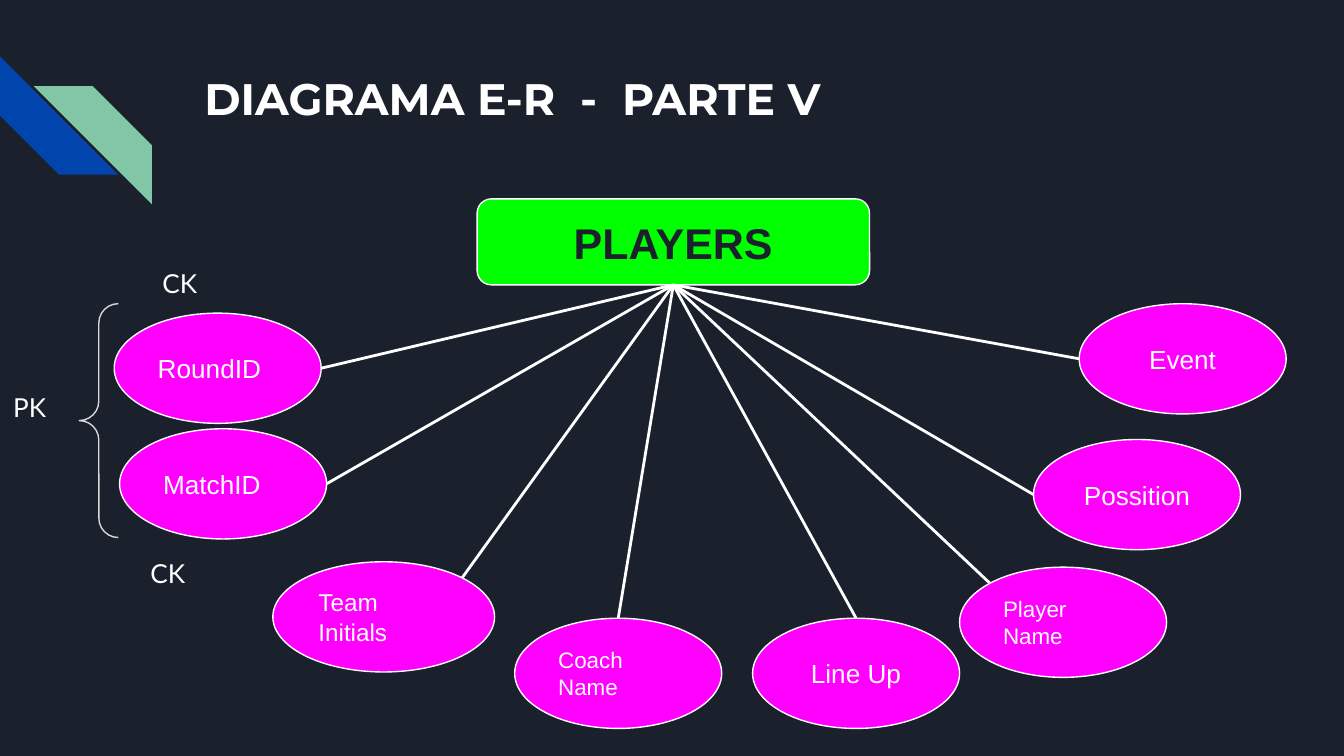
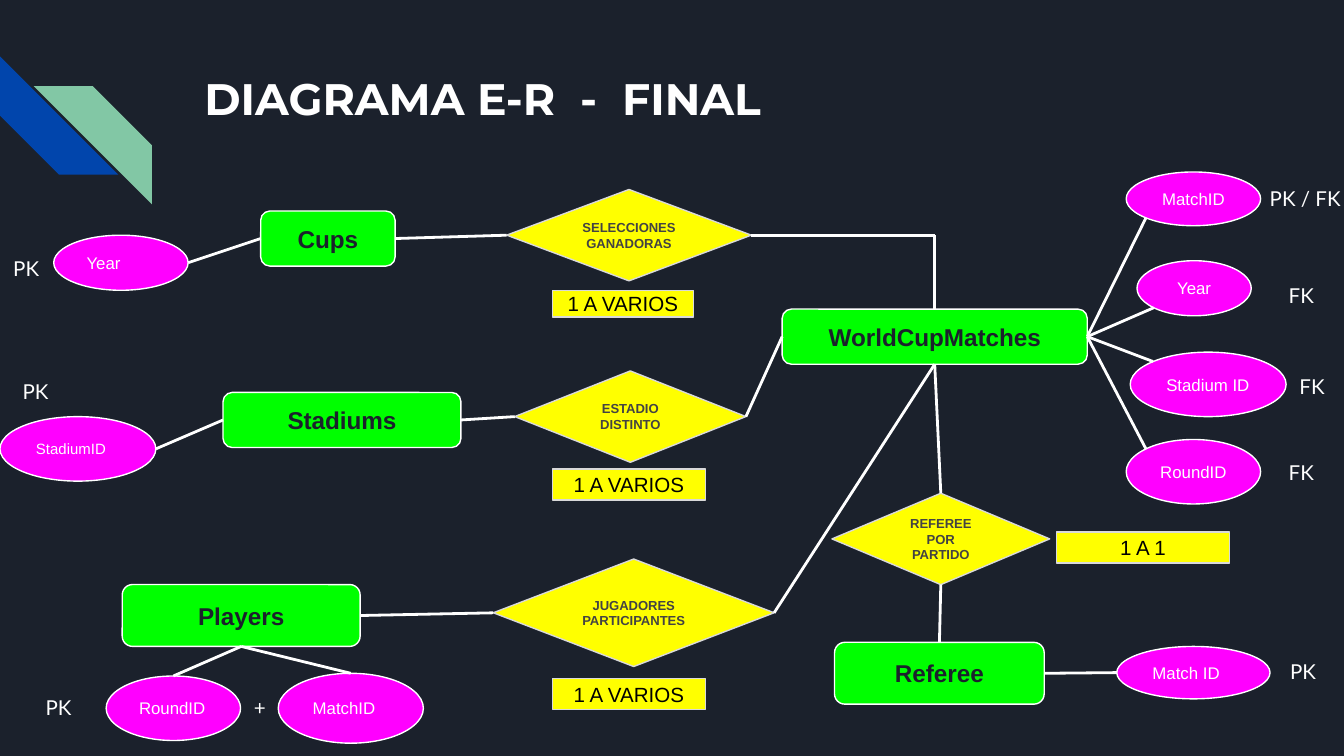
from dataclasses import dataclass

from lxml import etree
from pptx import Presentation
from pptx import util as u
from pptx.dml.color import RGBColor
from pptx.enum import shapes, text
from pptx.oxml import ns

KIND = shapes.MSO_SHAPE


@dataclass(frozen=True)
class Theme:
    night: str = "1B212C"
    blue: str = "0145AC"
    mint: str = "82C7A5"
    green: str = "00FF00"
    pink: str = "FF00FF"
    yellow: str = "FFFF00"
    white: str = "FFFFFF"
    pale: str = "D9D9D9"
    gray: str = "434343"
    black: str = "000000"
    body: str = "Arial"
    note: str = "Lato"
    head: str = "Montserrat"
    title: float = 23.6
    hero: float = 23
    name: float = 13
    big: float = 14
    mid: float = 11
    small: float = 9
    tiny: float = 7


T = Theme()

# Directions from the centre of a shape to its connection sites
DIAG = 0.5 ** 0.5
SITES = {"t": (0, -1), "l": (-1, 0), "b": (0, 1), "r": (1, 0),
         "tl": (-DIAG, -DIAG), "tr": (DIAG, -DIAG), "bl": (-DIAG, DIAG)}


def color(code):
    return RGBColor.from_string(code)


def place(box, x, y, w, h):
    """Shift a part by the origin of its region."""
    return box[0] + x, box[1] + y, w, h


def inch(box):
    return [u.Inches(v) for v in box]


def write(shape, words, size=T.big, font=T.body, ink=T.white, bold=False,
          center=True, middle=True):
    frame = shape.text_frame
    frame.word_wrap = True
    frame.margin_left = frame.margin_right = u.Inches(0.1)
    frame.margin_top = frame.margin_bottom = u.Inches(0.1)
    anchor = text.MSO_ANCHOR
    frame.vertical_anchor = anchor.MIDDLE if middle else anchor.TOP
    par = frame.paragraphs[0]
    par.alignment = text.PP_ALIGN.CENTER if center else text.PP_ALIGN.LEFT
    run = par.add_run()
    run.text = words
    run.font.size, run.font.name, run.font.bold = u.Pt(size), font, bold
    run.font.color.rgb = color(ink)


def draw(slide, kind, box, fill=None, line=None):
    shape = slide.shapes.add_shape(kind, *inch(box))
    shape.shadow.inherit = False
    if fill:
        shape.fill.solid()
        shape.fill.fore_color.rgb = color(fill)
    else:
        shape.fill.background()
    if line:
        shape.line.color.rgb = color(line)
        shape.line.width = u.Pt(0.75)
    else:
        shape.line.fill.background()
    return shape


# Parts of an entity-relation diagram
def entity(slide, words, box, size=T.name):
    shape = draw(slide, KIND.ROUNDED_RECTANGLE, box, T.green, T.white)
    write(shape, words, size, ink=T.night, bold=True)
    return shape


def field(slide, words, box, size=T.small, center=True):
    shape = draw(slide, KIND.OVAL, box, T.pink, T.white)
    write(shape, words, size, center=center)
    return shape


def bond(slide, words, box):
    shape = draw(slide, KIND.FLOWCHART_DECISION, box, T.yellow, T.pale)
    write(shape, words, T.tiny, ink=T.gray, bold=True)
    return shape


def badge(slide, words, box):
    shape = draw(slide, KIND.RECTANGLE, box, T.yellow, T.pale)
    write(shape, words, T.mid, ink=T.black)


def tag(slide, words, box, x, y, size=T.mid, w=0.49, h=0.39):
    area = place(box, x, y, w, h)
    shape = slide.shapes.add_textbox(*inch(area))
    write(shape, words, size, T.note, center=False, middle=False)
    shape.text_frame.margin_right = 0


def spot(shape, site):
    dx, dy = SITES[site]
    return (int(shape.left + shape.width * (1 + dx) / 2),
            int(shape.top + shape.height * (1 + dy) / 2))


def wire(slide, start, end):
    line = slide.shapes.add_connector(shapes.MSO_CONNECTOR.STRAIGHT,
                                      *start, *end)
    line.line.color.rgb = color(T.white)
    line.line.width = u.Pt(1.5)
    etree.SubElement(line._element.spPr, ns.qn("a:effectLst"))
    return line


def link(slide, one, site, two, goal):
    line = wire(slide, spot(one, site), spot(two, goal))
    ends = ((one, site, line.begin_connect), (two, goal, line.end_connect))
    for shape, name, join in ends:
        if shape.auto_shape_type != KIND.OVAL:
            join(shape, "tlbr".index(name))


# Shared look: dark ground, corner stripes and title
def stripes(slide, layout, box):
    low = draw(slide, KIND.DIAGONAL_STRIPE,
               place(box, 0, 0, 0.88, 0.88), T.blue)
    low.rotation = 270
    high = draw(slide, KIND.DIAGONAL_STRIPE,
                place(box, 0.25, 0.22, 0.88, 0.88), T.mint)
    high._element.spPr.xfrm.set("flipH", "1")
    for shape in (low, high):
        layout.shapes._spTree.append(shape._element)


def start(deck, layout, words):
    slide = deck.slides.add_slide(layout)
    head = slide.shapes.title
    head.left, head.top, head.width, head.height = inch((1.42, 0.43, 7.7, 1))
    write(head, words, T.title, T.head, bold=True, center=False, middle=False)
    return slide


# Slide 1: one entity and its fields
def fan(slide, box):
    hub = entity(slide, "PLAYERS", place(box, 3.55, 0, 2.92, 0.64), T.hero)
    # words, x, y, width, size, centred, site of the line
    parts = (("RoundID", 0.85, 0.85, 1.54, T.big, False, "r"),
             ("MatchID", 0.89, 1.71, 1.54, T.big, False, "r"),
             ("Team Initials", 2.03, 2.7, 1.65, 13, False, "tr"),
             ("Coach Name", 3.83, 3.12, 1.54, 12, False, "t"),
             ("Line Up", 5.6, 3.12, 1.54, T.big, True, "t"),
             ("Player Name", 7.14, 2.74, 1.54, 12, False, "tl"),
             ("Possition", 7.69, 1.79, 1.54, T.big, True, "l"),
             ("Event", 8.03, 0.78, 1.54, T.big, True, "l"))
    for words, x, y, w, size, center, site in parts:
        oval = field(slide, words, place(box, x, y, w, 0.82), size, center)
        link(slide, oval, site, hub, "b")


def brace(slide, box):
    shape = draw(slide, KIND.LEFT_BRACE, place(box, 0.59, 0.37, 0.29, 1.74),
                 line=T.pale)
    shape.adjustments[0] = 0.5
    for words, x, y in (("PK", 0, 0.92), ("CK", 1.11, 0), ("CK", 1.02, 2.16)):
        tag(slide, words, box, x, y, T.big, 0.59, 0.44)


# Slide 2: a row with key fields, entity, relation and ratio
def row(slide, box, name, body, verb, shape, ratio, keys, tags):
    core = entity(slide, name, place(box, *body))
    knot = bond(slide, verb, place(box, *shape))
    badge(slide, "1 A VARIOS", place(box, *ratio))
    link(slide, core, "r", knot, "l")
    for words, area, size, site, goal in keys:
        oval = field(slide, words, place(box, *area), size, False)
        link(slide, oval, site, core, goal)
    for words, x, y in tags:
        tag(slide, words, box, x, y)
    return knot


def matches(slide, box):
    hub = entity(slide, "WorldCupMatches", place(box, 0, 1.02, 2.27, 0.41))
    parts = (("MatchID", 2.56, 0, 1, 0.4, True, "bl"),
             ("Year", 2.64, 0.66, 0.85, 0.41, True, "bl"),
             ("Stadium ID", 2.59, 1.34, 1.16, 0.48, False, "tl"),
             ("RoundID", 2.56, 1.99, 1, 0.48, True, "tl"))
    for words, x, y, w, h, center, site in parts:
        oval = field(slide, words, place(box, x, y, w, h), center=center)
        link(slide, hub, "r", oval, site)
    tag(slide, " PK / FK", box, 3.49, 0.01, w=0.77)
    for x, y in ((3.67, 0.73), (3.75, 1.41), (3.67, 2.05)):
        tag(slide, "FK", box, x, y, w=0.51)
    return hub


def referee(slide, box, hub):
    knot = bond(slide, "REFEREE POR PARTIDO", place(box, 0, 0, 1.62, 0.68))
    badge(slide, "1 A 1", place(box, 1.67, 0.29, 1.29, 0.23))
    core = entity(slide, "Referee", place(box, 0.02, 1.11, 1.56, 0.46))
    key = field(slide, "Match ID", place(box, 2.12, 1.14, 1.14, 0.39),
                center=False)
    tag(slide, "PK", box, 3.31, 1.14)
    link(slide, knot, "t", hub, "b")
    link(slide, core, "t", knot, "b")
    link(slide, key, "l", core, "r")


def final(slide):
    hub = matches(slide, (5.82, 1.28))
    cups = row(slide, (0, 1.41), "Cups", (1.94, 0.16, 1, 0.41),
               "SELECCIONES GANADORAS", (3.77, 0, 1.82, 0.68),
               (4.11, 0.75, 1.05, 0.2),
               [("Year", (0.4, 0.34, 1, 0.41), T.small, "r", "l")],
               [("PK", 0, 0.4)])
    venue = row(slide, (0, 2.76), "Stadiums", (1.66, 0.16, 1.77, 0.41),
                "ESTADIO DISTINTO", (3.83, 0, 1.72, 0.68),
                (4.11, 0.73, 1.14, 0.23),
                [("StadiumID", (0, 0.34, 1.16, 0.48), 8, "r", "l")],
                [("PK", 0.07, -0.03)])
    squad = row(slide, (0, 4.16), "Players", (0.91, 0.19, 1.77, 0.46),
                "JUGADORES PARTICIPANTES", (3.67, 0, 2.09, 0.8),
                (4.11, 0.89, 1.14, 0.23),
                [("RoundID", (0.79, 0.87, 1, 0.48), T.small, "t", "b"),
                 ("MatchID", (2.07, 0.85, 1.08, 0.52), T.small, "t", "b")],
                [("PK", 0.24, 0.92), ("+", 1.79, 0.92)])
    referee(slide, (6.19, 3.67), hub)
    link(slide, hub, "l", venue, "r")
    link(slide, squad, "r", hub, "b")
    # Square turn from the first relation down to the matches
    side, top = spot(cups, "r"), spot(hub, "t")
    turn = (top[0], side[1])
    wire(slide, side, turn).begin_connect(cups, 3)
    wire(slide, top, turn).begin_connect(hub, 0)


def main():
    deck = Presentation()
    deck.slide_width = u.Inches(10)
    deck.slide_height = u.Inches(10 * 9 / 16)
    layout = deck.slide_layouts.get_by_name("Title Only")
    layout.background.fill.solid()
    layout.background.fill.fore_color.rgb = color(T.night)

    first = start(deck, layout, "DIAGRAMA E-R  -  PARTE V")
    stripes(first, layout, (0, 0.42))
    fan(first, (0, 1.48))
    brace(first, (0, 1.89))

    final(start(deck, layout, "DIAGRAMA E-R  -  FINAL"))
    deck.save("out.pptx")


if __name__ == "__main__":
    main()
